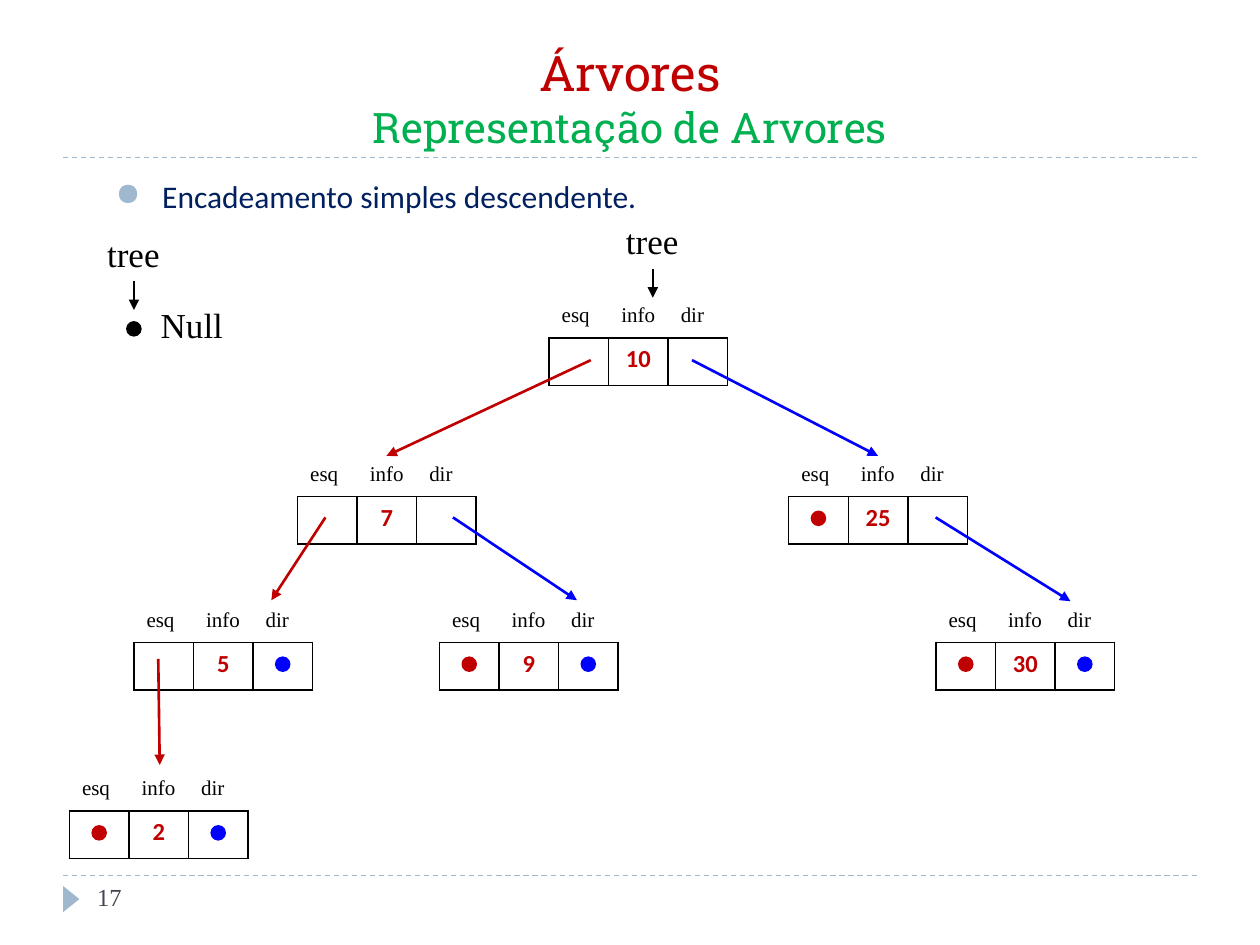
from dataclasses import dataclass

from lxml.etree import SubElement
from pptx import Presentation
from pptx.dml.color import RGBColor
from pptx.enum.dml import MSO_LINE
from pptx.enum.shapes import MSO_CONNECTOR, MSO_SHAPE
from pptx.enum.text import MSO_ANCHOR, PP_ALIGN
from pptx.oxml.ns import qn
from pptx.util import Cm, Pt

BLACK = RGBColor(0x00, 0x00, 0x00)
WHITE = RGBColor(0xFF, 0xFF, 0xFF)
RED = RGBColor(0xC0, 0x00, 0x00)
BLUE = RGBColor(0x00, 0x00, 0xFF)
GREEN = RGBColor(0x00, 0xB0, 0x50)
NAVY = RGBColor(0x00, 0x20, 0x60)
SLATE = RGBColor(0x46, 0x46, 0x53)
STEEL = RGBColor(0x9F, 0xB8, 0xCD)

SERIF, SANS, SLAB = "Times New Roman", "Calibri", "Roboto Slab"
NO_STYLE = "{2D5ABB26-0587-4C30-8999-92F81FD0307C}"

# Node geometry in cm
FIELDS = ("esq", "info", "dir")
COL, LABEL_ROW, BOX_ROW = 1.2, 0.81, 0.96
DOT, DOT_Y = 0.26, 1.25


@dataclass(frozen=True)
class Node:
    value: str
    left: float
    top: float
    null_left: bool = True
    null_right: bool = True


@dataclass(frozen=True)
class Arrow:
    x1: float
    y1: float
    x2: float
    y2: float
    color: RGBColor


@dataclass(frozen=True)
class Label:
    text: str
    left: float
    top: float
    width: float
    height: float
    size: int = 20
    font: str = SERIF
    color: RGBColor = BLACK
    wrap: bool = False


NODES = [
    Node("2", 1.4, 15.54),
    Node("5", 2.7, 12.14, null_left=False),
    Node("9", 8.86, 12.14),
    Node("30", 18.87, 12.14),
    Node("7", 6.0, 9.2, null_left=False, null_right=False),
    Node("25", 15.9, 9.2, null_right=False),
    Node("10", 11.07, 6.0, null_left=False, null_right=False),
]
ARROWS = [
    Arrow(13.16, 5.42, 13.16, 6.0, BLACK),
    Arrow(2.7, 5.67, 2.7, 6.25, BLACK),
    Arrow(13.95, 7.26, 17.7, 9.19, BLUE),
    Arrow(11.91, 7.26, 7.79, 9.19, RED),
    Arrow(9.13, 10.43, 11.63, 12.1, BLUE),
    Arrow(6.56, 10.43, 5.47, 12.1, RED),
    Arrow(18.86, 10.43, 21.58, 12.12, BLUE),
    Arrow(3.19, 13.28, 3.22, 15.42, RED),
]
LABELS = [
    Label("tree", 12.37, 4.31, 1.58, 1.11),
    Label("tree", 1.91, 4.56, 1.58, 1.11),
    Label("Null", 2.99, 6.0, 1.79, 1.11),
]
TITLE = Label("Árvores\vRepresentação de Arvores", 1.27, 0.64, 22.86, 2.54,
              28, SLAB, RED, True)
BULLET = Label("Encadeamento simples descendente.", 2.08, 3.45, 21.6, 1.11,
               18, SANS, NAVY, True)
PAGE_NUMBER = Label("17", 1.71, 17.65, 5.5, 1.02, 14, SERIF, SLATE, True)


def style(r, size: int, font: str, color: RGBColor, bold: bool = False) -> None:
    r.font.size, r.font.name, r.font.bold = Pt(size), font, bold
    r.font.color.rgb = color


def add_label(s, label: Label):
    box = s.shapes.add_textbox(Cm(label.left), Cm(label.top), Cm(label.width), Cm(label.height))
    tf = box.text_frame
    tf.word_wrap = label.wrap
    tf.text = label.text
    for r in tf.paragraphs[0].runs:
        style(r, label.size, label.font, label.color)
    return tf


def add_line(s, x1: float, y1: float, x2: float, y2: float, color: RGBColor, width: float):
    line = s.shapes.add_connector(MSO_CONNECTOR.STRAIGHT, Cm(x1), Cm(y1), Cm(x2), Cm(y2))
    line.line.color.rgb, line.line.width = color, Pt(width)
    SubElement(line._element.spPr, qn("a:effectLst"))
    return line


def add_arrow(s, a: Arrow) -> None:
    line = add_line(s, a.x1, a.y1, a.x2, a.y2, a.color, 1.5)
    SubElement(line.line._get_or_add_ln(), qn("a:tailEnd"), type="triangle")


def add_shape(s, kind, left: float, top: float, width: float, height: float, color: RGBColor):
    sp = s.shapes.add_shape(kind, Cm(left), Cm(top), Cm(width), Cm(height))
    sp.shadow.inherit = False
    sp.fill.solid()
    sp.fill.fore_color.rgb = color
    sp.line.color.rgb, sp.line.width = color, Pt(1.5)
    return sp


def add_dot(s, x: float, y: float, color: RGBColor) -> None:
    add_shape(s, MSO_SHAPE.OVAL, x - DOT / 2, y - DOT / 2, DOT, DOT, color)


def frame_cell(cell) -> None:
    tc_pr = cell._tc.get_or_add_tcPr()
    for side in ("lnL", "lnR", "lnT", "lnB"):
        ln = SubElement(tc_pr, qn(f"a:{side}"), w=str(Pt(1)))
        fill = SubElement(ln, qn("a:solidFill"))
        SubElement(fill, qn("a:srgbClr"), val=str(BLACK))
    cell.fill.solid()
    cell.fill.fore_color.rgb = WHITE


def add_node(s, node: Node) -> None:
    frame = s.shapes.add_table(2, 3, Cm(node.left), Cm(node.top),
                               Cm(3 * COL), Cm(LABEL_ROW + BOX_ROW))
    table = frame.table
    table.first_row = table.horz_banding = False
    table._tbl.tblPr.find(qn("a:tableStyleId")).text = NO_STYLE
    table.rows[0].height, table.rows[1].height = Cm(LABEL_ROW), Cm(BOX_ROW)
    for i, field in enumerate(FIELDS):
        table.columns[i].width = Cm(COL)
        head, box = table.cell(0, i), table.cell(1, i)
        head.text = field
        style(head.text_frame.paragraphs[0].runs[0], 12, SERIF, BLACK)
        head.fill.background()
        frame_cell(box)
        p = box.text_frame.paragraphs[0]
        p.font.size = Pt(14)
        if field == "info":
            p.text, p.alignment = node.value, PP_ALIGN.CENTER
            style(p.runs[0], 14, SANS, RED, bold=True)


def add_null_dots(s, node: Node) -> None:
    if node.null_left:
        add_dot(s, node.left + COL / 2, node.top + DOT_Y, RED)
    if node.null_right:
        add_dot(s, node.left + 2.5 * COL, node.top + DOT_Y, BLUE)


def main() -> None:
    prs = Presentation()
    prs.slide_width, prs.slide_height = Cm(25.4), Cm(19.05)
    s = prs.slides.add_slide(prs.slide_layouts[6])

    # Rules, page marker and number
    for y in (17.65, 3.18):
        add_line(s, 1.27, y, 24.13, y, STEEL, 0.75).line.dash_style = MSO_LINE.DASH
    marker = add_shape(s, MSO_SHAPE.ISOSCELES_TRIANGLE, 1.17, 17.96, 0.53, 0.33, STEEL)
    marker.rotation = 90
    marker.line.fill.background()
    add_label(s, PAGE_NUMBER)

    # Title
    tf = add_label(s, TITLE)
    tf.vertical_anchor = MSO_ANCHOR.BOTTOM
    p = tf.paragraphs[0]
    p.alignment = PP_ALIGN.CENTER
    style(p.runs[1], 24, SLAB, GREEN)

    # Bulleted statement
    p = add_label(s, BULLET).paragraphs[0]
    p.alignment = PP_ALIGN.JUSTIFY
    p_pr = p._p.get_or_add_pPr()
    p_pr.set("marL", str(Cm(0.94)))
    p_pr.set("indent", str(-Cm(0.94)))
    SubElement(SubElement(p_pr, qn("a:buClr")), qn("a:srgbClr"), val=str(STEEL))
    SubElement(p_pr, qn("a:buChar"), char="●")

    # Tree nodes, links and null pointers
    for node in NODES:
        add_node(s, node)
    for arrow in ARROWS:
        add_arrow(s, arrow)
    for node in NODES:
        add_null_dots(s, node)

    # Tree pointers and the empty tree
    for label in LABELS:
        add_label(s, label)
    add_dot(s, 2.7, 6.63, BLACK)

    prs.save("out.pptx")


if __name__ == "__main__":
    main()
